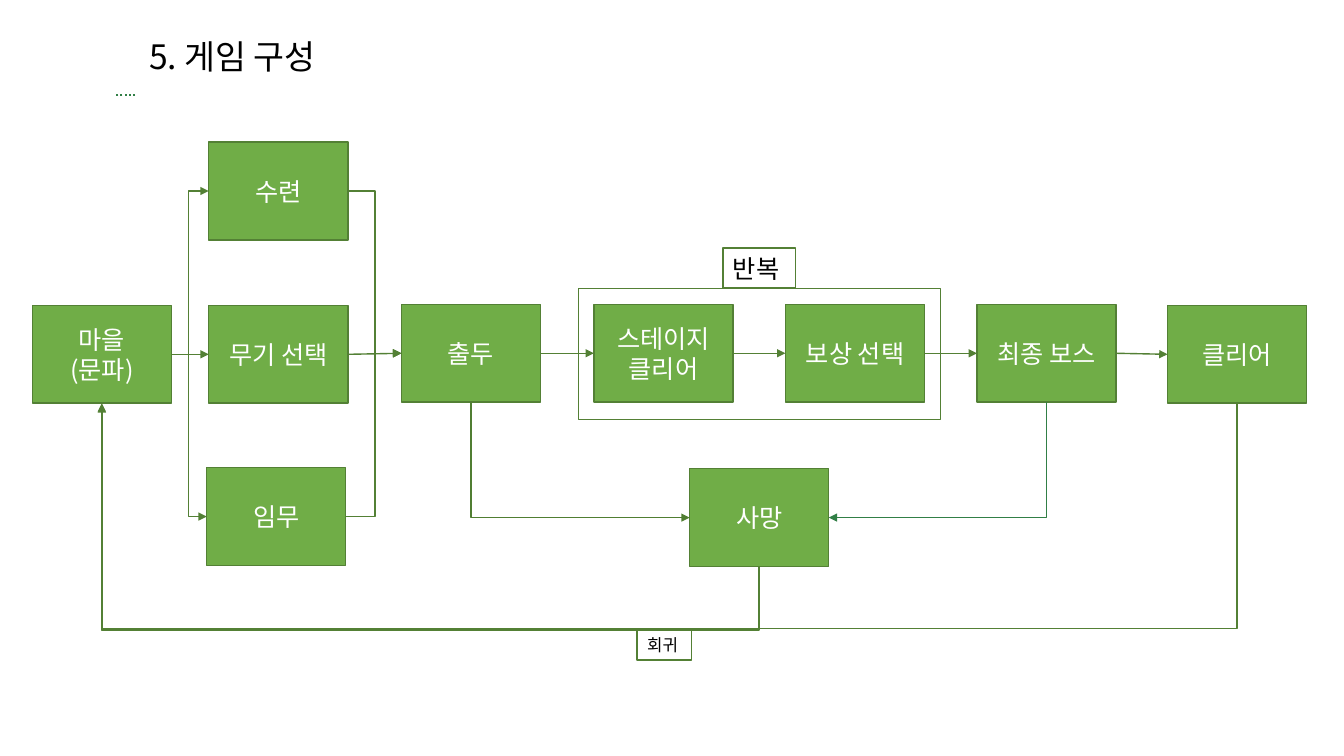
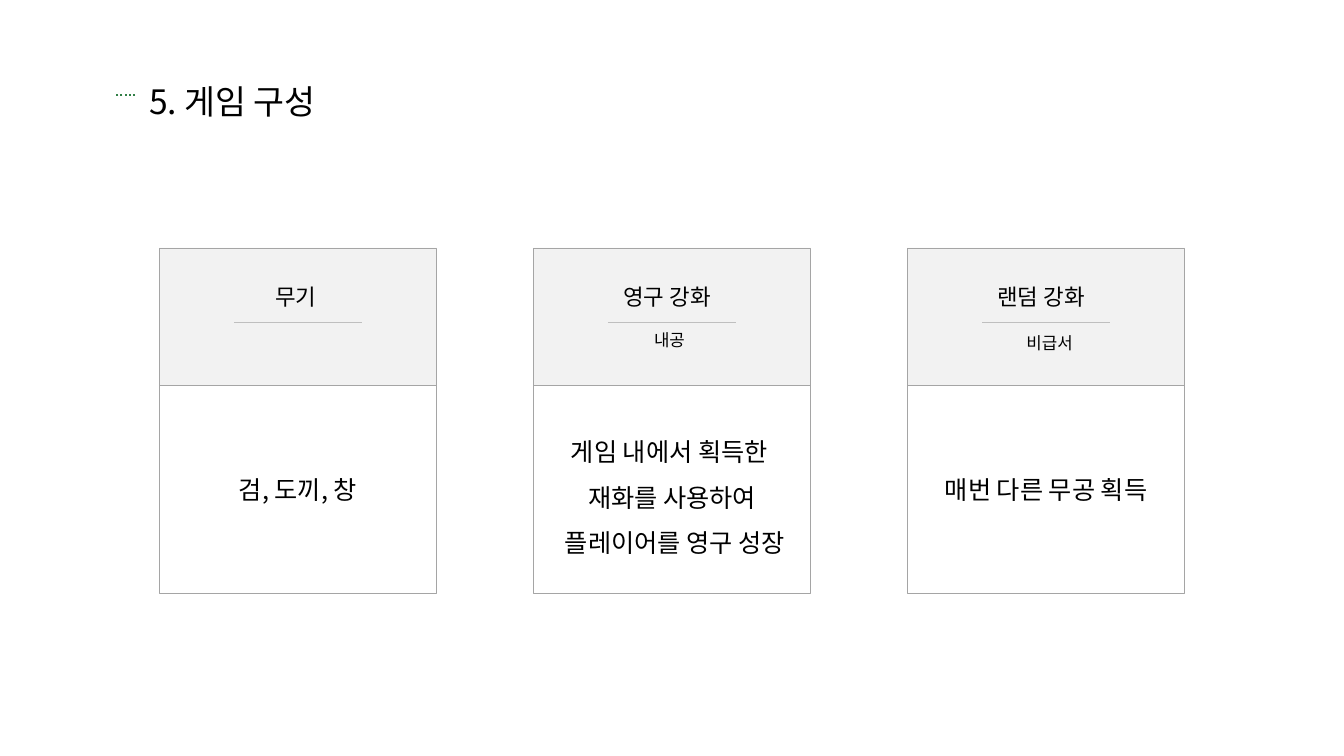
from lxml import etree
from pptx import Presentation
from pptx.dml.color import RGBColor
from pptx.enum.dml import MSO_LINE
from pptx.enum.shapes import MSO_CONNECTOR as CXN, MSO_SHAPE
from pptx.enum.text import MSO_ANCHOR, MSO_AUTO_SIZE, PP_ALIGN
from pptx.oxml.ns import qn
from pptx.util import Inches, Pt

FONT = "Noto Sans CJK KR"
COLORS = {
    "box": "70AD47", "edge": "538035", "loss": "507E32", "accent": "317F46",
    "head": "F2F2F2", "card": "A5A5A5", "rule": "BFBFBF",
    "black": "000000", "white": "FFFFFF",
}
TITLE = "5. 게임 구성"
TOP, LEFT, BOTTOM, RIGHT = range(4)

# Flow chart: name -> (left, top, lines of text)
BOX_W, BOX_H = 1.38, 0.97
BOXES = {
    "village": (0.32, 3.03, ["마을", "(문파)"]),
    "mission": (2.05, 4.64, ["임무"]),
    "weapon": (2.07, 3.03, ["무기 선택"]),
    "training": (2.07, 1.41, ["수련"]),
    "depart": (3.98, 3.02, ["출두"]),
    "stage": (5.89, 3.02, ["스테이지", "클리어"]),
    "reward": (7.79, 3.02, ["보상 선택"]),
    "boss": (9.69, 3.02, ["최종 보스"]),
    "clear": (11.58, 3.03, ["클리어"]),
    "death": (6.84, 4.65, ["사망"]),
}
CHAIN = ["village", "weapon", "depart", "stage", "reward", "boss", "clear"]
# from, side, to, side, where the middle leg runs (None: one corner), colour
ELBOWS = [
    ("village", RIGHT, "mission", LEFT, 1.87, "edge"),
    ("village", RIGHT, "training", LEFT, 1.87, "edge"),
    ("training", RIGHT, "depart", LEFT, 3.72, "edge"),
    ("mission", RIGHT, "depart", LEFT, 3.72, "edge"),
    ("death", BOTTOM, "village", BOTTOM, 6.25, "edge"),
    ("clear", BOTTOM, "village", BOTTOM, 6.27, "edge"),
    ("depart", BOTTOM, "death", LEFT, None, "loss"),
    ("boss", BOTTOM, "death", RIGHT, None, "accent"),
]
LOOP_FRAME = (5.74, 2.86, 3.59, 1.3)
LABELS = [("반복", (7.17, 2.46, 0.72, 0.4), 18), ("회귀", (6.32, 6.25, 0.54, 0.3), 12)]

# Cards: heading, heading width, (subheading, left, top), body, line spacing
CARDS = [
    ("무기", 0.65, None, ["검, 도끼, 창"], None),
    ("영구 강화", 1.16, ("내공", 6.03, 3.22),
     ["게임 내에서 획득한 ", "재화를 사용하여", " 플레이어를 영구 성장"], 1.5),
    ("랜덤 강화", 1.16, ("비급서", 9.8, 3.25), ["매번 다른 무공 획득"], None),
]
CARD_X, CARD_Y, CARD_W, CARD_STEP = 1.58, 2.46, 2.75, 3.71
HEAD_H, BODY_H, RULE_W = 1.36, 2.07, 1.27


def rgb(name):
    return RGBColor.from_string(COLORS[name])


def inches(values):
    return [Inches(v) for v in values]


def write(sp, lines, size, color="black", **paragraph_format):
    tf = sp.text_frame
    for i, text in enumerate(lines):
        p = tf.add_paragraph() if i else tf.paragraphs[0]
        for name, value in paragraph_format.items():
            setattr(p, name, value)
        r = p.add_run()
        r.text = text
        for name, value in {"name": FONT, "size": Pt(size)}.items():
            setattr(r.font, name, value)
        r.font.color.rgb = rgb(color)
        etree.SubElement(r.font._element, qn("a:ea"), typeface=FONT)


def add_text(slide, text, at, size, wrap=True, edge=None, **paragraph_format):
    sp = slide.shapes.add_textbox(*inches(at))
    sp.text_frame.word_wrap = wrap
    sp.text_frame.auto_size = MSO_AUTO_SIZE.SHAPE_TO_FIT_TEXT
    if edge:
        style_line(sp, edge, 1)
    write(sp, [text], size, **paragraph_format)


def style_line(sp, color, width):
    sp.line.color.rgb = rgb(color)
    sp.line.width = Pt(width)


def add_rect(slide, at, fill, edge, width):
    sp = slide.shapes.add_shape(MSO_SHAPE.RECTANGLE, *inches(at))
    sp.shadow.inherit = False
    if fill:
        sp.fill.solid()
        sp.fill.fore_color.rgb = rgb(fill)
    else:
        sp.fill.background()
    style_line(sp, edge, width)
    sp.text_frame.vertical_anchor = MSO_ANCHOR.MIDDLE
    return sp


def add_line(slide, ends, color, width, kind=CXN.STRAIGHT, arrow=False):
    line = slide.shapes.add_connector(kind, *inches(ends))
    style_line(line, color, width)
    props = line._element.spPr
    if arrow:
        etree.SubElement(props.find(qn("a:ln")), qn("a:tailEnd"), type="triangle")
    etree.SubElement(props, qn("a:effectLst"))
    return line


def port(name, side):
    """Middle of one side of a flow box."""
    x, y, _ = BOXES[name]
    dx, dy = {TOP: (0.5, 0), LEFT: (0, 0.5), BOTTOM: (0.5, 1), RIGHT: (1, 0.5)}[side]
    return x + dx * BOX_W, y + dy * BOX_H


def add_elbow(slide, start, start_side, end, end_side, bend, color):
    (x1, y1), (x2, y2) = port(start, start_side), port(end, end_side)
    rotation, ends, first, span = 0, (x1, y1, x2, y2), x1, x2 - x1
    if start_side == BOTTOM:
        # A path that starts vertically is a horizontal one, turned about its centre
        first, span = y1, y2 - y1 or 0.01
        rotation = 90 if x2 < x1 else 270
        flipped = (span < 0) == (rotation == 90)
        cx, cy = (x1 + x2) / 2, y1 + span / 2
        half_w, half_h = abs(span) / 2, abs(x2 - x1) / 2
        if flipped:
            half_w = -half_w
        ends = (cx - half_w, cy - half_h, cx + half_w, cy + half_h)
    line = add_line(slide, ends, color, 1, CXN.ELBOW, arrow=True)
    line.rotation = rotation
    geometry = line._element.spPr.find(qn("a:prstGeom"))
    if bend is None:
        geometry.set("prst", "bentConnector2")
    else:
        ratio = round((bend - first) / span * 100000)
        guides = geometry.find(qn("a:avLst"))
        etree.SubElement(guides, qn("a:gd"), name="adj1", fmla=f"val {ratio}")


def new_slide(prs, title_top):
    slide = prs.slides.add_slide(prs.slide_layouts[6])
    dots = add_line(slide, (1.34, 0.94, 1.14, 0.94), "accent", 1.5)
    dots.line.dash_style = MSO_LINE.ROUND_DOT
    add_text(slide, TITLE, (1.38, title_top, 2.06, 0.5), 24, wrap=False)
    return slide


def build_flow(prs):
    slide = new_slide(prs, 0.31)
    boxes = {}
    for name, (x, y, lines) in BOXES.items():
        boxes[name] = add_rect(slide, (x, y, BOX_W, BOX_H), "box", "edge", 1)
        write(boxes[name], lines, 18, "white", alignment=PP_ALIGN.CENTER)
    for start, end in zip(CHAIN, CHAIN[1:]):
        ends = port(start, RIGHT) + port(end, LEFT)
        line = add_line(slide, ends, "edge", 1, arrow=True)
        line.begin_connect(boxes[start], RIGHT)
        line.end_connect(boxes[end], LEFT)
    for elbow in ELBOWS:
        add_elbow(slide, *elbow)
    add_rect(slide, LOOP_FRAME, None, "edge", 1)
    for text, at, size in LABELS:
        add_text(slide, text, at, size, edge="edge")


def build_cards(prs):
    slide = new_slide(prs, 0.75)
    for i, (heading, width, sub, body, spacing) in enumerate(CARDS):
        x = CARD_X + i * CARD_STEP
        center = x + CARD_W / 2
        add_rect(slide, (x, CARD_Y, CARD_W, HEAD_H), "head", "card", 0.5)
        sp = add_rect(slide, (x, CARD_Y + HEAD_H, CARD_W, BODY_H), None, "card", 0.5)
        write(sp, body, 18, alignment=PP_ALIGN.CENTER, line_spacing=spacing)
        add_line(slide, (center - RULE_W / 2, 3.2, center + RULE_W / 2, 3.2), "rule", 0.5)
        add_text(slide, heading, (center - width / 2, 2.76, width, 0.37), 16, wrap=False)
        if sub:
            text, left, top = sub
            add_text(slide, text, (left, top, 1.22, 0.3), 12, alignment=PP_ALIGN.CENTER)


def main():
    prs = Presentation()
    prs.slide_width, prs.slide_height = Inches(13.33), Inches(7.5)
    build_flow(prs)
    build_cards(prs)
    prs.save("out.pptx")


if __name__ == "__main__":
    main()
